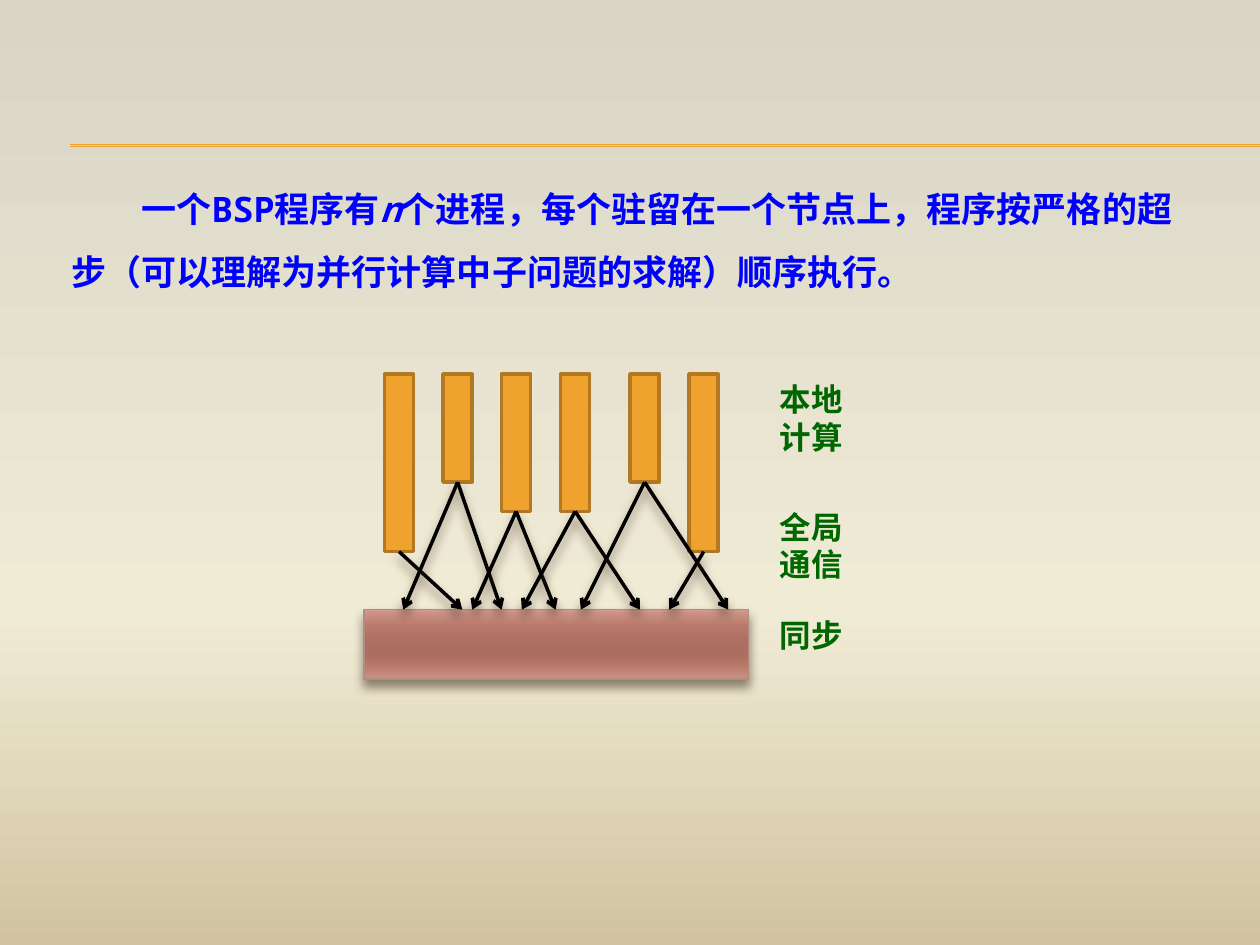
from lxml.etree import SubElement
from pptx import Presentation
from pptx.dml.color import RGBColor
from pptx.enum.shapes import MSO_CONNECTOR, MSO_SHAPE
from pptx.oxml.ns import qn
from pptx.util import Cm, Pt

FONT = "Noto Sans Mono"
ORANGE = RGBColor(0xF0, 0xA2, 0x2E)
BROWN = RGBColor(0xB2, 0x78, 0x22)
ROSE = RGBColor(0xB5, 0x8B, 0x80)
BLUE = RGBColor(0x00, 0x00, 0xFF)
GREEN = RGBColor(0x00, 0x66, 0x00)
BLACK = RGBColor(0x00, 0x00, 0x00)
SHADE = RGBColor(0x4E, 0x3B, 0x30)
SAND = [(0, RGBColor(0xD9, 0xD5, 0xC7)), (65, RGBColor(0xF0, 0xEB, 0xD5)),
        (100, RGBColor(0xD1, 0xC3, 0x9F))]
CLAY = [(0, RGBColor(0xD0, 0x9A, 0x8D)), (25, RGBColor(0xB9, 0x78, 0x69)),
        (50, RGBColor(0xAB, 0x6E, 0x60)), (65, RGBColor(0xAB, 0x6E, 0x60)),
        (80, RGBColor(0xB8, 0x78, 0x68)), (100, RGBColor(0xCA, 0x93, 0x86))]

# Each process: left edge, bar length, where its arrows land (cm)
PROCS = [(0.41, 3.58, [1.98]), (1.59, 2.18, [0.79, 2.77]),
         (2.77, 2.77, [2.18, 3.86]), (3.96, 2.77, [3.18, 5.56]),
         (5.36, 2.18, [4.37, 7.34]), (6.55, 3.58, [6.15])]
BAR = 0.59
SYNC = 4.75
LABELS = [(0, 1.8, "本地\n计算"), (2.57, 1.8, "全局\n通信"), (SYNC, 1.02, "同步")]


def grade(fill, root, stops):
    """Fill from top to bottom with any number of colour stops."""
    fill.gradient()
    fill.gradient_angle = 270
    group = next(root.iter(qn("a:gsLst")))
    for old in list(group):
        group.remove(old)
    for pos, color in stops:
        stop = SubElement(group, qn("a:gs"), pos=str(pos * 1000))
        SubElement(stop, qn("a:srgbClr"), val=str(color))


def effect(item, soft):
    """Replace the theme shadow by a soft one or by none."""
    props = item.element.spPr
    for old in props.findall(qn("a:effectLst")):
        props.remove(old)
    group = SubElement(props, qn("a:effectLst"))
    if soft:
        shadow = SubElement(group, qn("a:outerShdw"), blurRad=str(Pt(6)),
                            dist=str(Pt(4)), dir="5400000", rotWithShape="0")
        color = SubElement(shadow, qn("a:srgbClr"), val=str(SHADE))
        SubElement(color, qn("a:alpha"), val="60000")


def add_line(slide, start, end, color, width, arrow=False):
    points = [Cm(v) for v in (*start, *end)]
    line = slide.shapes.add_connector(MSO_CONNECTOR.STRAIGHT, *points)
    line.line.color.rgb = color
    line.line.width = Pt(width)
    if arrow:
        SubElement(line.line._get_or_add_ln(), qn("a:tailEnd"), type="arrow")
    effect(line, arrow)


def add_rect(slide, box, color, width):
    rect = slide.shapes.add_shape(MSO_SHAPE.RECTANGLE, *[Cm(v) for v in box])
    rect.line.color.rgb = color
    rect.line.width = Pt(width)
    rect.shadow.inherit = False
    return rect


def add_box(slide, box):
    frame = slide.shapes.add_textbox(*[Cm(v) for v in box]).text_frame
    frame.word_wrap = True
    return frame


def style(run, size, color):
    font = run.font
    font.name, font.size, font.bold = FONT, Pt(size), True
    font.color.rgb = color
    SubElement(run._r.get_or_add_rPr(), qn("a:ea"), typeface=FONT)


def add_rule(slide, left, top, right):
    for y in (top, top + 0.03):
        add_line(slide, (left, y), (right, y), ORANGE, 0.75)


def add_intro(slide, box):
    para = add_box(slide, box).paragraphs[0]
    para.line_spacing = 1.5
    para._p.get_or_add_pPr().set("indent", str(Pt(40)))
    for text in ("一个BSP程序有", "n", "个进程，每个驻留在一个节点上，程序按严格的"
                 "超步（可以理解为并行计算中子问题的求解）顺序执行。"):
        run = para.add_run()
        run.text = text
        style(run, 20, BLUE)
        run.font.italic = text == "n"


def add_labels(slide, left, top):
    for y, height, text in LABELS:
        frame = add_box(slide, (left, top + y, 1.98, height))
        frame.text = text
        for para in frame.paragraphs:
            style(para.runs[0], 18, GREEN)


def add_step(slide, left, top):
    """Draw one superstep: local work, messages and the barrier."""
    add_labels(slide, left + 8.13, top)
    for x, length, _ in PROCS:
        bar = add_rect(slide, (left + x, top, BAR, length), BROWN, 2)
        bar.fill.solid()
        bar.fill.fore_color.rgb = ORANGE
    sync = add_rect(slide, (left, top + SYNC, 7.75, 1.4), ROSE, 0.79)
    grade(sync.fill, sync.element, CLAY)
    effect(sync, True)
    for x, length, ends in PROCS:
        start = (left + x + BAR / 2, top + length)
        for end in ends:
            add_line(slide, start, (left + end, top + SYNC), BLACK, 2, True)


def main():
    deck = Presentation()
    deck.slide_width, deck.slide_height = Cm(25.4), Cm(19.05)
    slide = deck.slides.add_slide(deck.slide_layouts[6])
    grade(slide.background.fill, slide.element, SAND)
    add_rule(slide, 1.42, 2.92, 25.4)
    add_intro(slide, (1.19, 3.23, 23.22, 2.67))
    add_step(slide, 7.34, 7.54)
    deck.save("out.pptx")


if __name__ == "__main__":
    main()
